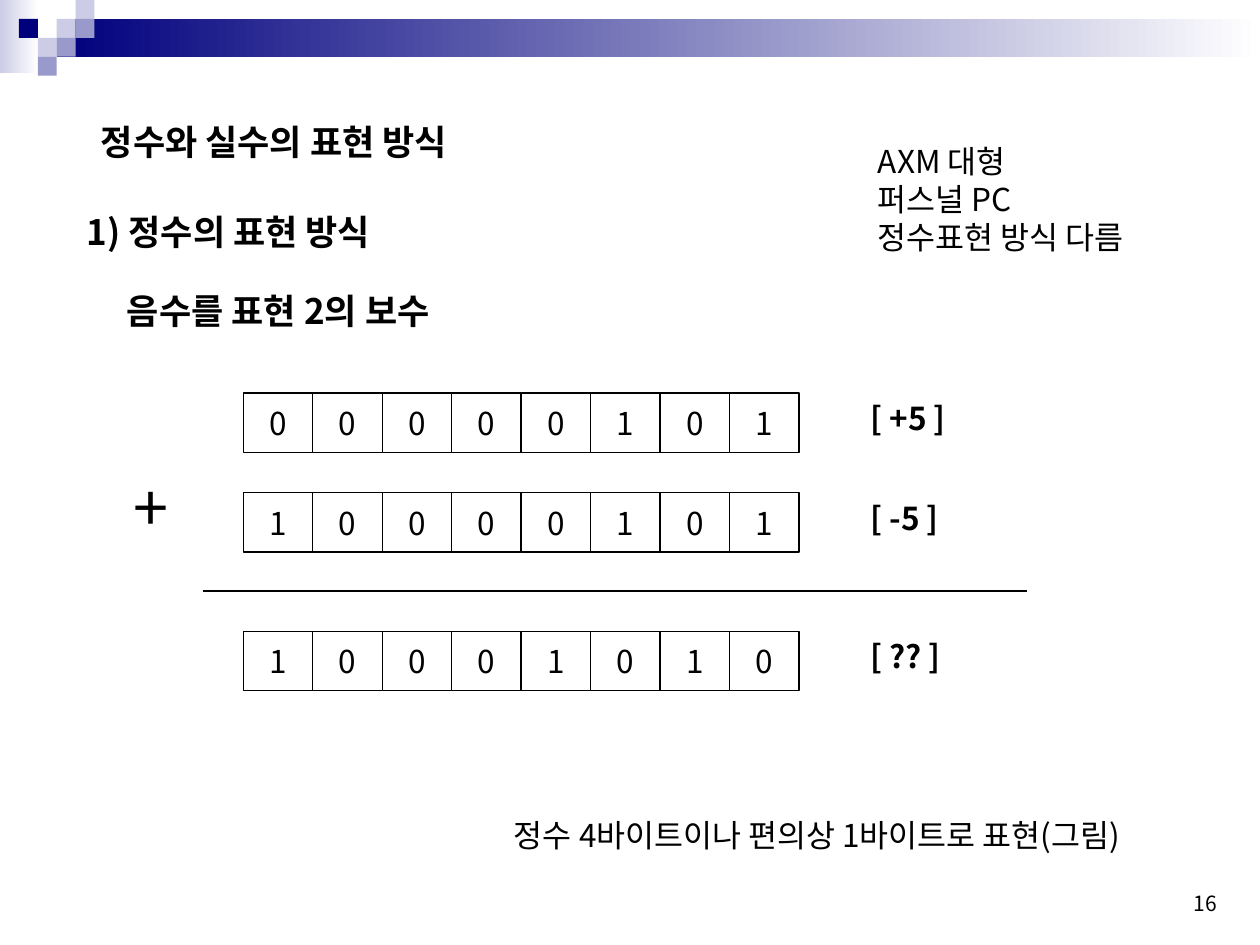
from lxml.etree import SubElement
from pptx import Presentation
from pptx.dml.color import RGBColor
from pptx.enum.shapes import MSO_CONNECTOR, MSO_SHAPE
from pptx.enum.text import MSO_ANCHOR, MSO_AUTO_SIZE, PP_ALIGN
from pptx.oxml.ns import qn
from pptx.util import Pt

COLORS = {
    "ink": "000000",
    "paper": "FFFFFF",
    "navy": "00007D",
    "lavender": "CCCCE6",
    "violet": "9999CC",
}
TILE = 10.8
CELL_LEFT, CELL_WIDTH, CELL_HEIGHT = 139, 39.7, 34
LABEL_LEFT = 490.3


class SlideBuilder:
    """Holds the style and the current slide, and adds each kind of element."""

    font_name = "Noto Sans CJK KR"

    def __init__(self, slide):
        self.slide = slide

    def color(self, name):
        return RGBColor.from_string(COLORS[name])

    def set_text(self, shape, text, size=18, bold=False,
                 align=PP_ALIGN.LEFT, anchor=MSO_ANCHOR.TOP):
        frame = shape.text_frame
        frame.text = text
        frame.word_wrap = True
        frame.auto_size = MSO_AUTO_SIZE.NONE
        frame.vertical_anchor = anchor
        for paragraph in frame.paragraphs:
            paragraph.alignment = align
            font = paragraph.font
            font.name = self.font_name
            font.size = Pt(size)
            font.bold = bold
            font.color.rgb = self.color("ink")
            properties = paragraph._p.pPr.find(qn("a:defRPr"))
            SubElement(properties, qn("a:ea"), typeface=self.font_name)

    def title(self, text, left, top, width, height):
        title = self.slide.shapes.title
        title.left, title.top = Pt(left), Pt(top)
        title.width, title.height = Pt(width), Pt(height)
        self.set_text(title, text, size=20, bold=True)

    def text(self, text, left, top, width, height, **style):
        box = self.slide.shapes.add_textbox(
            Pt(left), Pt(top), Pt(width), Pt(height))
        self.set_text(box, text, **style)

    def rectangle(self, left, top, width, height, fill):
        shape = self.slide.shapes.add_shape(
            MSO_SHAPE.RECTANGLE, Pt(left), Pt(top), Pt(width), Pt(height))
        shape.shadow.inherit = False
        shape.fill.solid()
        shape.fill.fore_color.rgb = self.color(fill)
        shape.line.fill.background()
        return shape

    def fading_band(self, left, top, width, height, start):
        band = self.rectangle(left, top, width, height, start)
        band.fill.gradient()
        band.fill.gradient_angle = 0
        for stop, name in zip(band.fill.gradient_stops, (start, "paper")):
            stop.color.rgb = self.color(name)

    def bit_row(self, bits, top):
        for column, bit in enumerate(bits):
            cell = self.rectangle(CELL_LEFT + column * CELL_WIDTH, top,
                                  CELL_WIDTH, CELL_HEIGHT, "paper")
            cell.line.color.rgb = self.color("ink")
            cell.line.width = Pt(0.75)
            self.set_text(cell, bit, align=PP_ALIGN.CENTER,
                          anchor=MSO_ANCHOR.MIDDLE)

    def rule(self, left, right, top):
        line = self.slide.shapes.add_connector(
            MSO_CONNECTOR.STRAIGHT, Pt(left), Pt(top), Pt(right), Pt(top))
        line.line.color.rgb = self.color("ink")
        line.line.width = Pt(0.75)
        SubElement(line._element.spPr, qn("a:effectLst"))


def main():
    presentation = Presentation()
    presentation.slide_width, presentation.slide_height = Pt(720), Pt(540)
    slide = presentation.slides.add_slide(presentation.slide_layouts[5])
    builder = SlideBuilder(slide)

    builder.fading_band(0, 0, 22, 41.8, "lavender")
    builder.fading_band(3 * TILE, TILE, 720 - 3 * TILE, 2 * TILE, "navy")
    tiles = [
        (3, 1, "lavender"), (4, 0, "lavender"), (4, 1, "violet"),
        (2, 2, "lavender"), (1, 1, "navy"), (3, 2, "violet"),
        (2, 3, "violet"),
    ]
    for column, row, fill in tiles:
        builder.rectangle(column * TILE, row * TILE, TILE, TILE, fill)

    builder.title("정수와 실수의 표현 방식", 50.4, 65.5, 229, 31.5)
    builder.text("1) 정수의 표현 방식", 42.5, 116.6, 204.5, 31.5,
                 size=20, bold=True)
    builder.text("음수를 표현 2의 보수", 65.5, 162, 213, 31.5,
                 size=20, bold=True)
    builder.text("AXM 대형\n퍼스널 PC\n정수표현 방식 다름",
                 494.6, 77.8, 165, 72)

    rows = [
        ("00000101", "[ +5 ]", 224.6),
        ("10000101", "[ -5 ]", 281.5),
        ("10001010", "[ ?? ]", 360.7),
    ]
    for bits, label, top in rows:
        builder.bit_row(bits, top)
        builder.text(label, LABEL_LEFT, top, 79.2, 28.8, bold=True)
    builder.text("+", 69.1, 264.2, 36, 50.4, size=36)
    builder.rule(116, 586.8, 337.7)

    builder.text("정수 4바이트이나 편의상 1바이트로 표현(그림)",
                 286.6, 463, 422, 28.8)
    builder.text("16", 518.4, 491, 184.3, 36, size=12,
                 align=PP_ALIGN.RIGHT, anchor=MSO_ANCHOR.BOTTOM)
    presentation.save("out.pptx")


if __name__ == "__main__":
    main()
